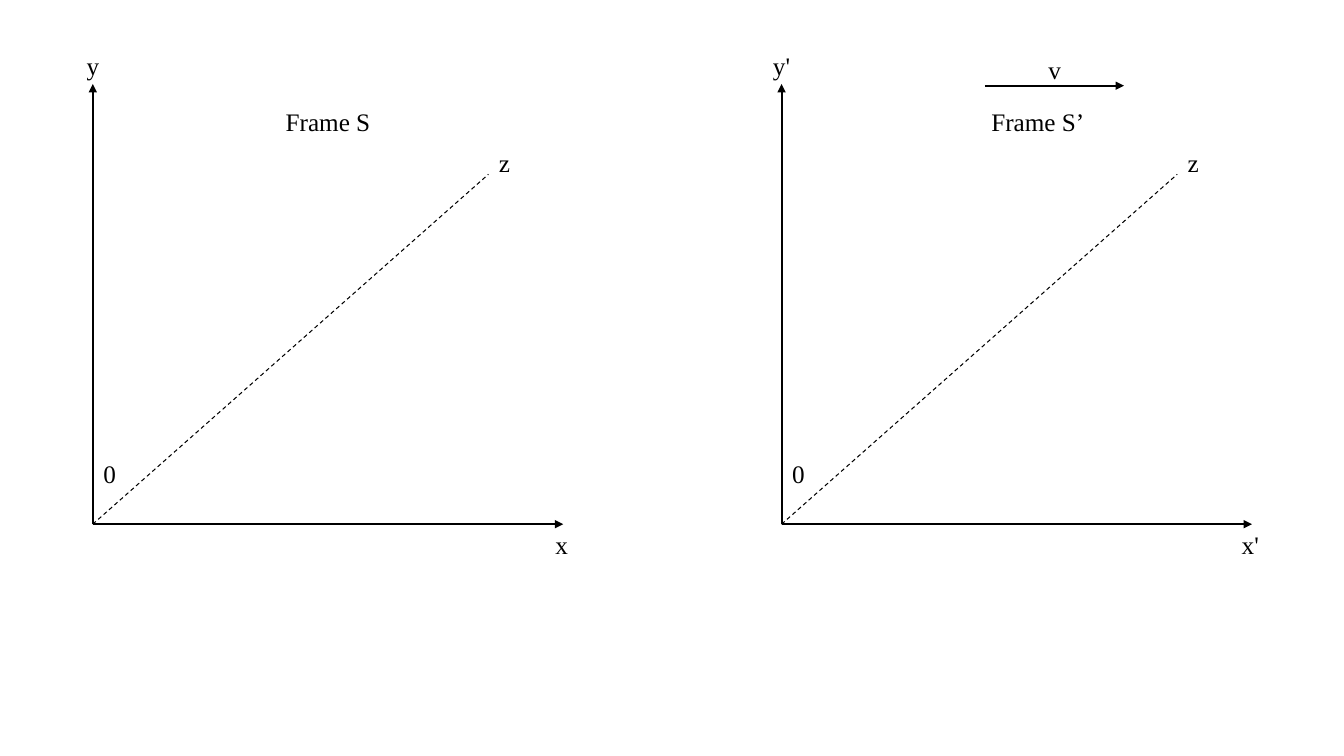
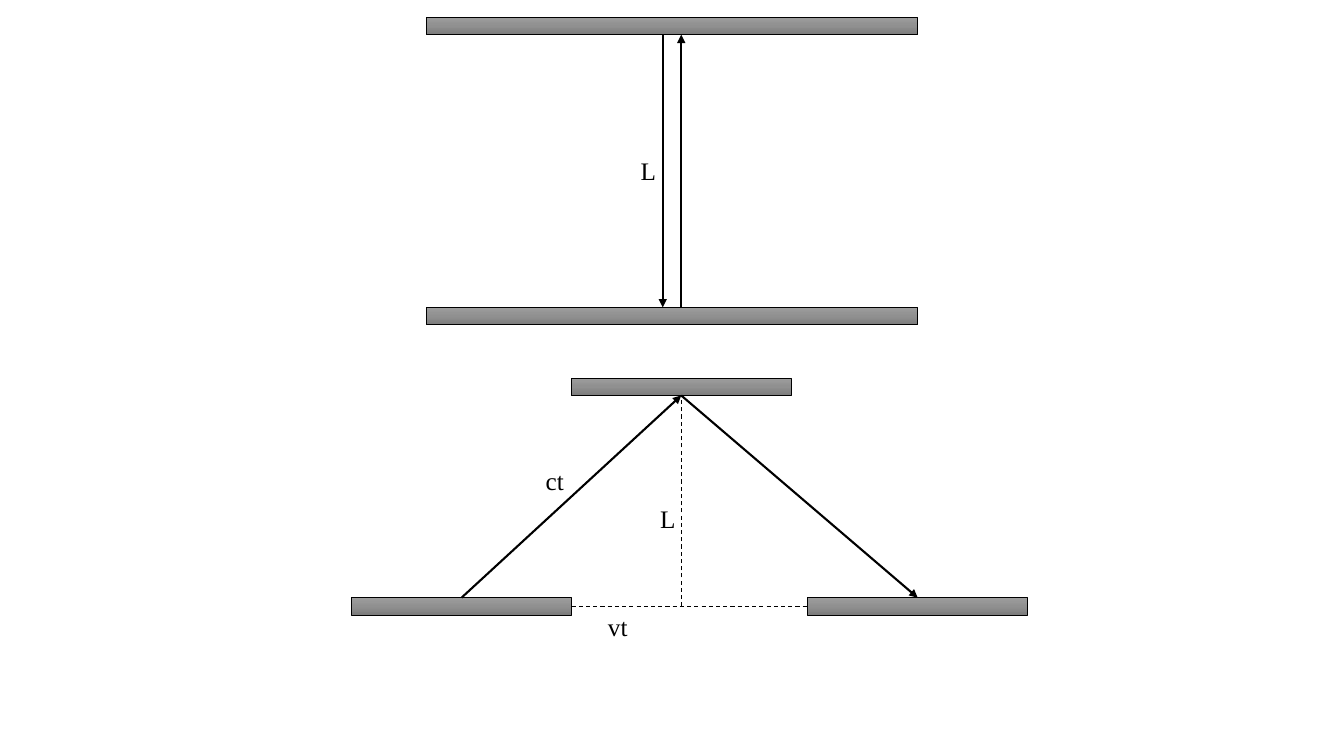
import copy
import dataclasses

import pptx
import pptx.dml.color
import pptx.enum.dml
import pptx.enum.shapes
import pptx.enum.text
import pptx.oxml.ns
import pptx.util
from lxml import etree

# Connection sites of a rectangle
TOP, LEFT, BOTTOM, RIGHT = range(4)


@dataclasses.dataclass(frozen=True)
class Theme:
    """Colours, type and line widths of the deck."""
    ink: str = "000000"
    mirror_stops: tuple = ((0, "9D9D9D"), (0.5, "909090"), (1, "7C7C7C"))
    font: str = "Times New Roman"
    label_size: float = 18
    arrow_width: float = 1.5
    dash_width: float = 0.75
    outline_width: float = 0.5


class Diagram:
    """Draws on the current slide, in columns and rows of a fine grid."""
    COLUMNS, ROWS = 160, 90

    def __init__(self, presentation, theme):
        self.presentation = presentation
        self.theme = theme
        self.slide = None

    def new_slide(self):
        blank = self.presentation.slide_layouts.get_by_name("Blank")
        self.slide = self.presentation.slides.add_slide(blank)

    def x(self, columns):
        return round(self.presentation.slide_width * columns / self.COLUMNS)

    def y(self, rows):
        return round(self.presentation.slide_height * rows / self.ROWS)

    def color(self, value):
        return pptx.dml.color.RGBColor.from_string(value)

    def label(self, text, center, middle, width=4, height=4.8):
        """One line of text centred on a grid point."""
        box = self.slide.shapes.add_textbox(
            self.x(center - width / 2), self.y(middle - height / 2),
            self.x(width), self.y(height))
        frame = box.text_frame
        frame.word_wrap = False
        frame.auto_size = pptx.enum.text.MSO_AUTO_SIZE.SHAPE_TO_FIT_TEXT
        paragraph = frame.paragraphs[0]
        paragraph.alignment = pptx.enum.text.PP_ALIGN.CENTER
        run = paragraph.add_run()
        run.text = text
        run.font.name = self.theme.font
        run.font.size = pptx.util.Pt(self.theme.label_size)
        run.font.color.rgb = self.color(self.theme.ink)

    def line(self, start, end, width):
        """Straight line; an end is a grid point or a (shape, site) pair."""
        connector = self.slide.shapes.add_connector(
            pptx.enum.shapes.MSO_CONNECTOR.STRAIGHT, 0, 0, 0, 0)
        if isinstance(start[0], (int, float)):
            connector.begin_x, connector.begin_y = self.x(start[0]), self.y(start[1])
        else:
            connector.begin_connect(*start)
        if isinstance(end[0], (int, float)):
            connector.end_x, connector.end_y = self.x(end[0]), self.y(end[1])
        else:
            connector.end_connect(*end)
        connector.line.width = pptx.util.Pt(width)
        connector.line.color.rgb = self.color(self.theme.ink)
        properties = connector._element.spPr
        etree.SubElement(properties, pptx.oxml.ns.qn("a:effectLst"))
        return connector

    def arrow(self, start, end):
        connector = self.line(start, end, self.theme.arrow_width)
        outline = connector._element.spPr.find(pptx.oxml.ns.qn("a:ln"))
        etree.SubElement(outline, pptx.oxml.ns.qn("a:tailEnd"), type="triangle")

    def dashed(self, start, end):
        connector = self.line(start, end, self.theme.dash_width)
        connector.line.dash_style = pptx.enum.dml.MSO_LINE.DASH

    def mirror(self, center, top, width, height):
        """Grey bar shaded from top to bottom."""
        shape = self.slide.shapes.add_shape(
            pptx.enum.shapes.MSO_SHAPE.RECTANGLE,
            self.x(center - width / 2), self.y(top),
            self.x(width), self.y(height))
        shape.shadow.inherit = False
        shape.line.width = pptx.util.Pt(self.theme.outline_width)
        shape.line.color.rgb = self.color(self.theme.ink)
        shape.fill.gradient()
        shape.fill.gradient_angle = 270
        # The preset gradient has two stops: add the third
        stop_list = next(shape._element.spPr.iter(pptx.oxml.ns.qn("a:gsLst")))
        stop_list.append(copy.deepcopy(stop_list[0]))
        for stop, (position, value) in zip(shape.fill.gradient_stops,
                                           self.theme.mirror_stops):
            stop.position = position
            stop.color.rgb = self.color(value)
        return shape

    def axes(self, origin, mark, title, title_offset):
        """Reference frame with its x, y and z axes."""
        base = 62.4
        corner = (origin, base)
        name_width = 5 if mark else 4
        self.arrow(corner, (origin, 10))
        self.arrow(corner, (origin + 56, base))
        self.dashed(corner, (origin + 47.1, 20.75))
        self.label("y" + mark, origin, 7.8, name_width)
        self.label("x" + mark, origin + 55.8, base + 2.4, name_width)
        self.label("z", origin + 49, 19.3)
        self.label("0", origin + 2, 56.4)
        self.label(title, origin + title_offset, 14.5, width=14)


def draw_frames(diagram):
    diagram.new_slide()
    diagram.axes(11.05, "", "Frame S", 28)
    diagram.axes(93.05, "'", "Frame S’", 30.5)
    # Velocity of the moving frame
    diagram.arrow((117.25, 10.2), (133.8, 10.2))
    diagram.label("v", 125.55, 8.3)


def draw_light_clock(diagram):
    diagram.new_slide()
    thickness = 2.08

    # Clock at rest
    upper, lower, middle = 2.05, 36.6, 80
    for top in (upper, lower):
        diagram.mirror(middle, top, 58.5, thickness)
    up, down = middle + 1.1, middle - 1.1
    diagram.arrow((up, lower), (up, upper + thickness))
    diagram.arrow((down, upper + thickness), (down, lower))
    diagram.label("L", 77.1, 20.3)

    # Moving clock
    apex, floor, short = 81.1, 71.15, 26.2
    reflector = diagram.mirror(apex, 45, short, thickness)
    emitter = diagram.mirror(54.95, floor, short, thickness)
    receiver = diagram.mirror(109.25, floor, short, thickness)
    diagram.dashed((emitter, RIGHT), (receiver, LEFT))
    diagram.dashed((apex, floor + thickness / 2), (reflector, BOTTOM))
    diagram.arrow((emitter, TOP), (reflector, BOTTOM))
    diagram.arrow((reflector, BOTTOM), (receiver, TOP))
    diagram.label("ct", 66.05, 57.2, width=5)
    diagram.label("vt", 73.55, 74.6, width=5)
    diagram.label("L", 79.4, 61.7)


def main():
    presentation = pptx.Presentation()
    presentation.slide_height = pptx.util.Inches(7.5)
    presentation.slide_width = round(presentation.slide_height * 16 / 9)
    diagram = Diagram(presentation, Theme())
    draw_frames(diagram)
    draw_light_clock(diagram)
    presentation.save("out.pptx")


if __name__ == "__main__":
    main()
